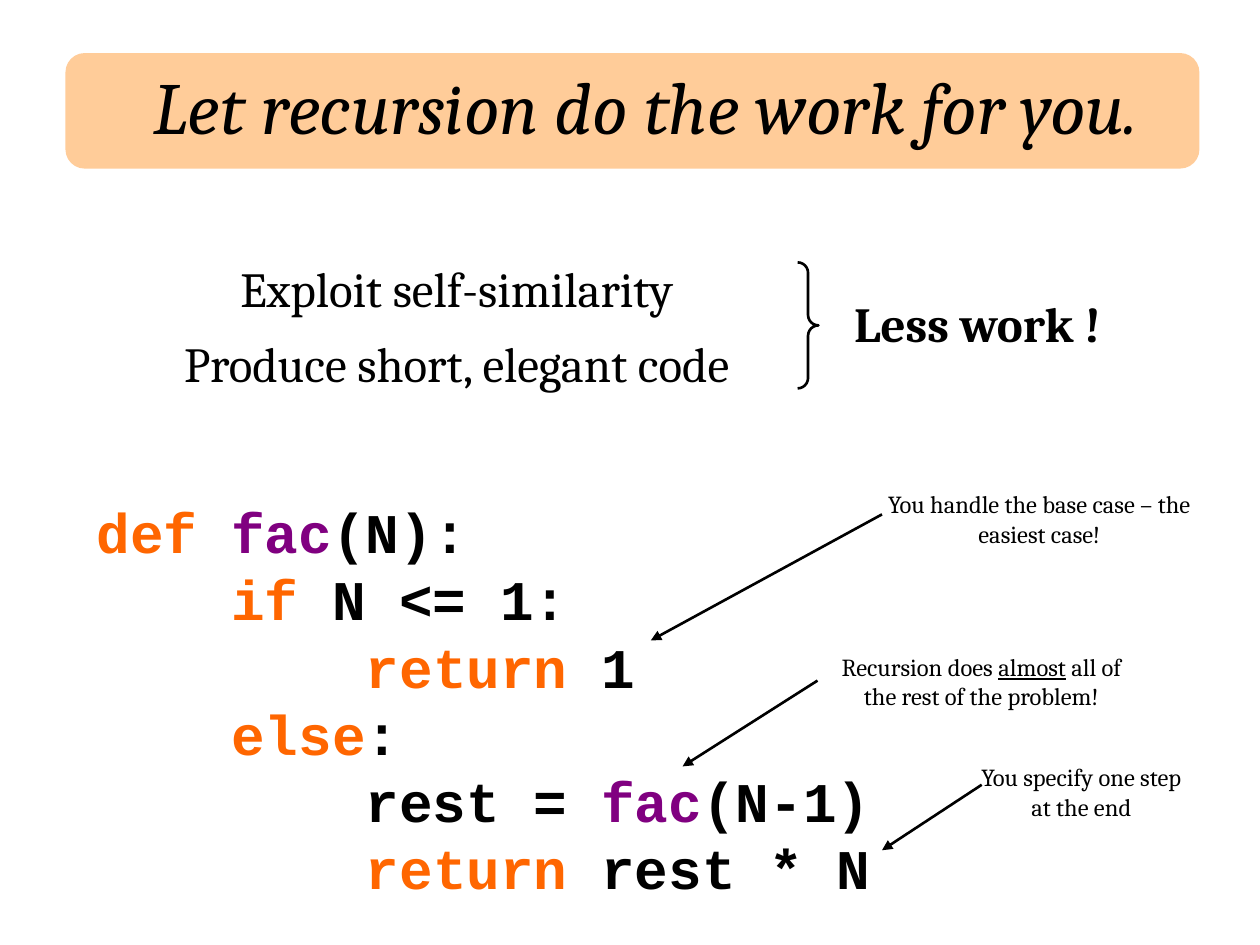
from typing import NamedTuple

from lxml.etree import SubElement
from pptx import Presentation
from pptx.dml.color import RGBColor
from pptx.enum.shapes import MSO_CONNECTOR, MSO_SHAPE
from pptx.enum.text import MSO_AUTO_SIZE, PP_ALIGN
from pptx.oxml.ns import qn
from pptx.util import Cm, Pt

BLACK = RGBColor(0x00, 0x00, 0x00)
ORANGE = RGBColor(0xFF, 0x66, 0x00)
PURPLE = RGBColor(0x80, 0x00, 0x80)
PEACH = RGBColor(0xFF, 0xCC, 0x99)

SERIF = {"name": "Cambria", "size": Pt(28)}
TITLE = {**SERIF, "size": Pt(42), "italic": True}
NOTE = {**SERIF, "size": Pt(14)}
RESULT = {**SERIF, "bold": True}
CODE = {"name": "Courier New", "size": Pt(32), "bold": True}


class Piece(NamedTuple):
    text: str
    color: RGBColor = BLACK
    underline: bool = False


class Label(NamedTuple):
    left: float
    top: float
    width: float
    height: float
    lines: list[list[Piece]]
    style: dict
    align: PP_ALIGN = PP_ALIGN.CENTER


class Arrow(NamedTuple):
    x1: float
    y1: float
    x2: float
    y2: float


def draw_label(shapes, label: Label) -> None:
    box = shapes.add_textbox(
        Cm(label.left), Cm(label.top), Cm(label.width), Cm(label.height)
    )
    frame = box.text_frame
    frame.word_wrap = True
    frame.auto_size = MSO_AUTO_SIZE.SHAPE_TO_FIT_TEXT
    for index, pieces in enumerate(label.lines):
        paragraph = frame.paragraphs[0] if index == 0 else frame.add_paragraph()
        paragraph.alignment = label.align
        for piece in pieces:
            run = paragraph.add_run()
            run.text = piece.text
            for attribute, value in label.style.items():
                setattr(run.font, attribute, value)
            run.font.color.rgb = piece.color
            if piece.underline:
                run.font.underline = True


def draw_arrow(shapes, arrow: Arrow) -> None:
    connector = shapes.add_connector(
        MSO_CONNECTOR.STRAIGHT, *(Cm(value) for value in arrow)
    )
    connector.line.color.rgb = BLACK
    connector.line.width = Pt(1.5)
    SubElement(connector.line._get_or_add_ln(), qn("a:tailEnd"), type="triangle")
    SubElement(connector._element.spPr, qn("a:effectLst"))


def draw_banner(shapes) -> None:
    banner = shapes.add_shape(
        MSO_SHAPE.ROUNDED_RECTANGLE, Cm(1.32), Cm(1.07), Cm(22.86), Cm(2.33)
    )
    banner.shadow.inherit = False
    banner.fill.solid()
    banner.fill.fore_color.rgb = PEACH
    banner.line.fill.background()


def draw_brace(shapes) -> None:
    brace = shapes.add_shape(
        MSO_SHAPE.RIGHT_BRACE, Cm(16.08), Cm(5.29), Cm(0.42), Cm(2.54)
    )
    brace.shadow.inherit = False
    brace.adjustments[0] = 0.5
    brace.fill.background()
    brace.line.color.rgb = BLACK
    brace.line.width = Pt(1.5)


PROGRAM = [
    [Piece("def ", ORANGE), Piece("fac", PURPLE), Piece("(N):")],
    [Piece("    "), Piece("if", ORANGE), Piece(" N <= 1:")],
    [Piece("        "), Piece("return", ORANGE), Piece(" 1")],
    [Piece("    "), Piece("else", ORANGE), Piece(":")],
    [Piece("        rest = "), Piece("fac", PURPLE), Piece("(N-1)")],
    [Piece("        "), Piece("return", ORANGE), Piece(" rest * N")],
]
BASE_CASE = [[Piece("You handle the base case – the easiest case!")]]
RECURSION = [[
    Piece("Recursion does "),
    Piece("almost", underline=True),
    Piece(" all of the rest of the problem!"),
]]
LAST_STEP = [[Piece("You specify one step at the end")]]

LABELS = [
    Label(1.7, 9.91, 21.39, 8.46, PROGRAM, CODE, PP_ALIGN.LEFT),
    Label(17.57, 9.74, 6.77, 1.45, BASE_CASE, NOTE),
    Label(16.4, 13.02, 6.77, 1.45, RECURSION, NOTE),
    Label(19.47, 15.24, 4.66, 1.45, LAST_STEP, NOTE),
    Label(1.48, 1.1, 23.07, 2.03,
          [[Piece("Let recursion do the work for you.")]], TITLE),
    Label(1.48, 5.08, 15.45, 1.45, [[Piece("Exploit self-similarity")]], SERIF),
    Label(1.48, 6.6, 15.45, 1.45, [[Piece("Produce short, elegant code")]], SERIF),
    Label(16.97, 5.79, 5.72, 1.45, [[Piece("Less work !")]], RESULT, PP_ALIGN.LEFT),
]
ARROWS = [
    Arrow(17.78, 10.37, 13.12, 12.91),
    Arrow(16.48, 13.72, 13.76, 15.45),
    Arrow(19.79, 15.82, 17.78, 17.14),
]


def main() -> None:
    deck = Presentation()
    deck.slide_width, deck.slide_height = Cm(25.4), Cm(19.05)
    shapes = deck.slides.add_slide(deck.slide_layouts[6]).shapes
    draw_banner(shapes)
    for label in LABELS:
        draw_label(shapes, label)
    for arrow in ARROWS:
        draw_arrow(shapes, arrow)
    draw_brace(shapes)
    deck.save("out.pptx")


if __name__ == "__main__":
    main()
